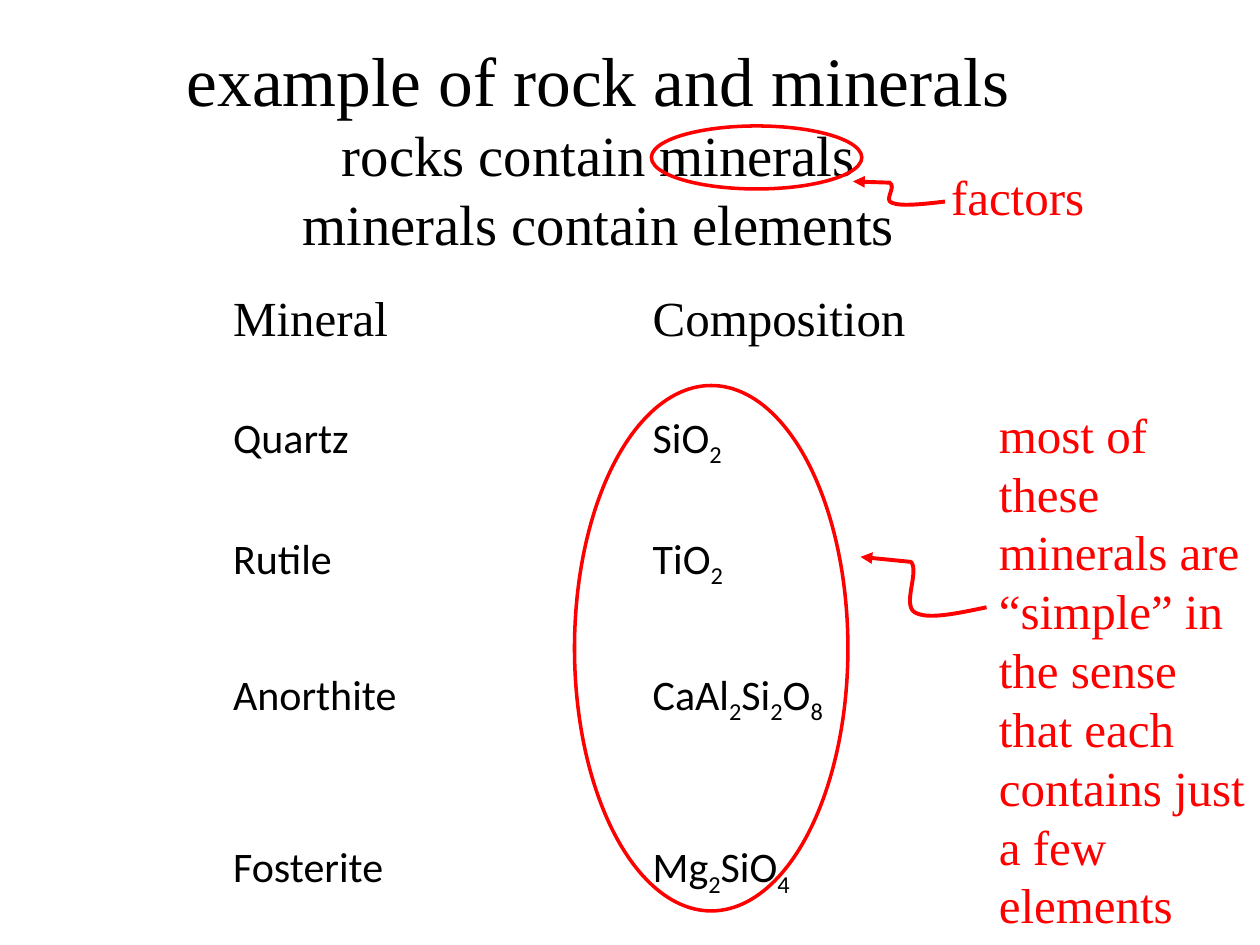
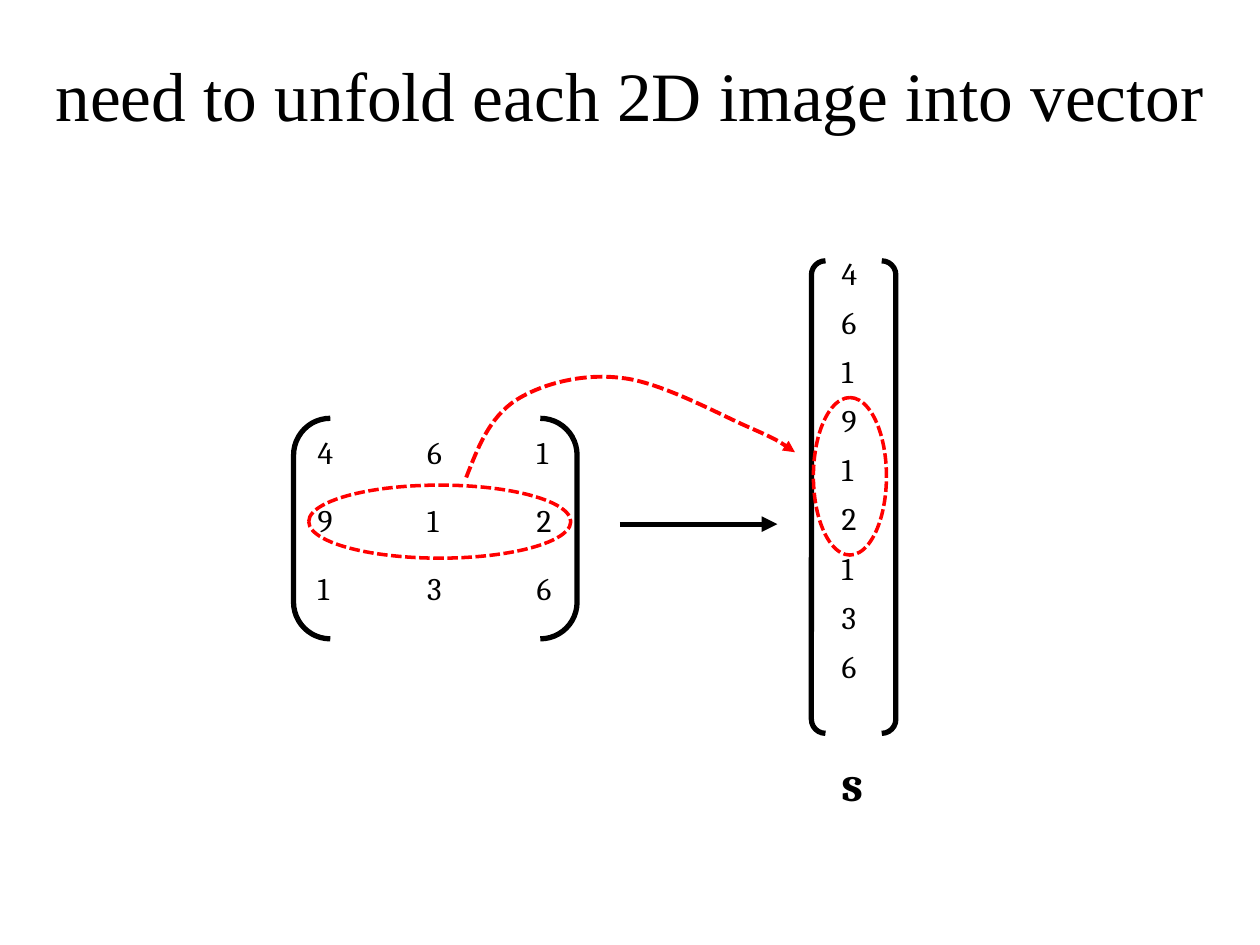
from itertools import groupby

from pptx import Presentation
from pptx.dml.color import RGBColor
from pptx.enum import dml, shapes, text
from pptx.oxml import ns, xmlchemy
from pptx.util import Inches, Pt

BLACK = RGBColor(0x00, 0x00, 0x00)
RED = RGBColor(0xFF, 0x00, 0x00)
SERIF, SANS, MATH = "Times New Roman", "Calibri", "Cambria"
TITLE_SIZE, SUBTITLE_SIZE, NOTE_SIZE = 39.6, 32.4, 28
OVAL, BRACKETS = shapes.MSO_SHAPE.OVAL, shapes.MSO_SHAPE.DOUBLE_BRACKET


def draw_outline(shape, color, width, dashed=False, arrow=None):
    """Style a line; arrow is headEnd (start) or tailEnd (finish)."""
    line = shape.line
    line.color.rgb = color
    line.width = Pt(width)
    if dashed:
        line.dash_style = dml.MSO_LINE.SQUARE_DOT
    if arrow:
        end = xmlchemy.OxmlElement(f"a:{arrow}")
        end.set("type", "triangle")
        line._get_or_add_ln().append(end)


def add_grid(slide, left, top, column_width, row_heights, rows, fonts):
    """Add an unfilled table; digits that follow a letter become subscripts."""
    table = slide.shapes.add_table(
        len(rows), len(rows[0]), Inches(left), Inches(top),
        Inches(column_width * len(rows[0])), Inches(sum(row_heights))).table
    table.first_row = table.horz_banding = False
    for column in table.columns:
        column.width = Inches(column_width)
    for r, (height, values) in enumerate(zip(row_heights, rows)):
        table.rows[r].height = Inches(height)
        face, size = fonts[min(r, len(fonts) - 1)]
        for c, value in enumerate(values):
            cell = table.cell(r, c)
            cell.fill.background()
            paragraph = cell.text_frame.paragraphs[0]
            for i, (is_digit, chars) in enumerate(groupby(value, str.isdigit)):
                run = paragraph.add_run()
                run.text = "".join(chars)
                run.font.name, run.font.size = face, Pt(size)
                run.font.color.rgb = BLACK
                if is_digit and i:
                    run._r.get_or_add_rPr().set("baseline", "-25000")


prs = Presentation()
prs.slide_width, prs.slide_height = Inches(10), Inches(7.5)
minerals, unfolding = [prs.slides.add_slide(prs.slide_layouts[5]) for _ in range(2)]

# Titles
for slide, box, lines in [
    (minerals, (0.25, 0.33, 9, 1.67),
     ["example of rock and minerals", "rocks contain minerals", "minerals contain elements"]),
    (unfolding, (0, 0.33, 10, 0.83), ["need to unfold each 2D image into vector"]),
]:
    title = slide.shapes.title
    title.left, title.top, title.width, title.height = map(Inches, box)
    frame = title.text_frame
    frame.text = "\v".join(lines)
    frame.auto_size = text.MSO_AUTO_SIZE.NONE
    frame.vertical_anchor = text.MSO_ANCHOR.MIDDLE
    frame.paragraphs[0].alignment = text.PP_ALIGN.CENTER
    for i, run in enumerate(frame.paragraphs[0].runs):
        run.font.name = SERIF
        run.font.size = Pt(SUBTITLE_SIZE if i else TITLE_SIZE)
        run.font.color.rgb = BLACK

# Tables
add_grid(minerals, 1.75, 2.27, 3.33, [0.96, 0.96, 0.53, 0.53, 1.37, 0.5], [
    ("Mineral", "Composition"),
    ("Quartz", "SiO2"),
    ("Rutile", "TiO2"),
    ("", ""),
    ("Anorthite", "CaAl2Si2O8"),
    ("Fosterite", "Mg2SiO4"),
], [(SERIF, 28), (SANS, 24)])

image = ["461", "912", "136"]
add_grid(unfolding, 2.42, 3.41, 0.87, [0.54] * 3, image, [(MATH, 18)])
vector = "".join(image)
add_grid(unfolding, 6.58, 1.99, 0.87, [0.39] * len(vector), vector, [(MATH, 18)])

# Ellipses and matrix brackets
for slide, kind, box, color, width, dashed, rotation in [
    (minerals, OVAL, (5.17, 1, 1.67, 0.5), RED, 2, False, 0),
    (minerals, OVAL, (4.56, 3.06, 2.17, 4.17), RED, 2, False, 0),
    (unfolding, BRACKETS, (2.33, 3.32, 2.25, 1.75), BLACK, 3, False, 0),
    (unfolding, BRACKETS, (6.44, 2.07, 0.67, 3.75), BLACK, 3, False, 0),
    (unfolding, OVAL, (2.45, 3.85, 2.08, 0.58), RED, 2, True, 0),
    (unfolding, OVAL, (6.12, 3.49, 1.25, 0.58), RED, 2, True, 90),
]:
    mark = slide.shapes.add_shape(kind, *map(Inches, box))
    mark.rotation = rotation
    mark.fill.background()
    mark.shadow.inherit = False
    draw_outline(mark, color, width, dashed)

# Notes and the vector's label
for slide, box, words, face, color, bold in [
    (minerals, (7.45, 1.27, 2.17, 0.57), "factors", SERIF, RED, False),
    (minerals, (7.83, 3.16, 2.17, 4.34),
     "most of these minerals are “simple” in the sense that each contains just a few elements",
     SERIF, RED, False),
    (unfolding, (6.58, 5.92, 0.42, 0.57), "s", MATH, BLACK, True),
]:
    frame = slide.shapes.add_textbox(*map(Inches, box)).text_frame
    frame.word_wrap = True
    frame.text = words
    font = frame.paragraphs[0].runs[0].font
    font.name, font.size, font.bold = face, Pt(NOTE_SIZE), bold
    font.color.rgb = color

# Straight arrow from image to vector
unfold_arrow = unfolding.shapes.add_connector(
    shapes.MSO_CONNECTOR.STRAIGHT, *map(Inches, (4.92, 4.16, 6.17, 4.16)))
draw_outline(unfold_arrow, BLACK, 3, arrow="tailEnd")
unfold_arrow._element.spPr.append(xmlchemy.OxmlElement("a:effectLst"))

# Curved arrows: every three points after the start (and an optional straight
# first leg) are the two control points and the end of a Bézier segment
for slide, points, dashed, arrow in [
    (minerals, [(6.77, 1.44), (7.06, 1.45), (7.12, 1.48), (7.01, 1.59), (7.08, 1.61),
                (7.15, 1.64), (7.33, 1.62), (7.5, 1.6)], False, "headEnd"),
    (minerals, [(6.83, 4.42), (7.23, 4.46), (7.3, 4.53), (7.16, 4.8), (7.26, 4.86),
                (7.36, 4.92), (7.59, 4.87), (7.83, 4.82)], False, "headEnd"),
    (unfolding, [(3.7, 3.79), (3.79, 3.56), (3.88, 3.32), (4.09, 3.18), (4.29, 3.05),
                 (4.62, 2.96), (4.93, 3), (5.24, 3.03), (5.71, 3.29), (5.94, 3.39),
                 (6.17, 3.49), (6.24, 3.54), (6.31, 3.59)], True, "tailEnd"),
]:
    start, *rest = [(Inches(x), Inches(y)) for x, y in points]
    builder = slide.shapes.build_freeform(*start)
    builder.add_line_segments(rest, close=False)
    curve = builder.convert_to_shape()
    legs = list(curve._element.iter(ns.qn("a:lnTo")))
    for i in range(len(legs) % 3, len(legs), 3):
        bezier = xmlchemy.OxmlElement("a:cubicBezTo")
        legs[i].addprevious(bezier)
        for leg in legs[i:i + 3]:
            bezier.append(leg[0])
            leg.getparent().remove(leg)
    curve.fill.background()
    curve.shadow.inherit = False
    draw_outline(curve, RED, 2.25, dashed, arrow)

prs.save("out.pptx")
